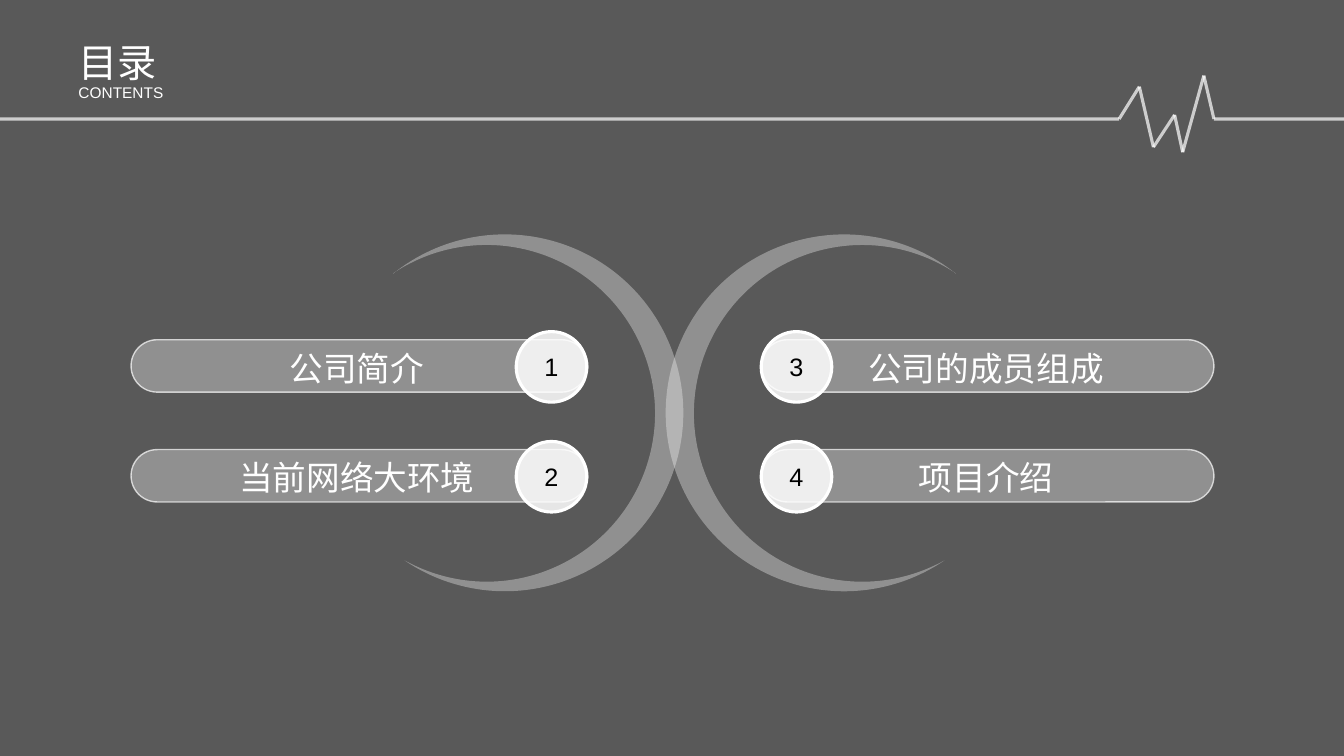
"""Build a contents slide with a heartbeat line, two crescents and four numbered bars."""
from dataclasses import dataclass
from itertools import pairwise
from math import cos, radians, sin, tan

from lxml.etree import SubElement
from pptx import Presentation
from pptx.dml.color import RGBColor
from pptx.enum.shapes import MSO_CONNECTOR, MSO_SHAPE
from pptx.enum.text import MSO_ANCHOR, MSO_AUTO_SIZE, PP_ALIGN
from pptx.oxml.ns import qn
from pptx.util import Inches, Pt

WIDTH, HEIGHT = 13.33, 7.5
WHITE, PALE, BLACK = "FFFFFF", "FCFCFC", "000000"
HEARTBEAT = [(0, 1.18), (11.1, 1.18), (11.3, 0.86), (11.44, 1.46), (11.65, 1.14),
             (11.73, 1.51), (11.94, 0.75), (12.04, 1.18), (WIDTH, 1.18)]
BAR_TOP, BAR_STEP, BAR_HEIGHT, BADGE_SIZE = 3.37, 1.09, 0.52, 0.7
LABEL_TOP, LABEL_STEP = 3.4, 1.08


@dataclass
class Column:
    bar_left: float
    bar_width: float
    badge_left: float
    label_left: float
    first_number: int
    labels: list[str]


@dataclass
class Crescent:
    center_x: float
    direction: int


@dataclass
class Arc:
    offset_x: float
    offset_y: float
    radius: float
    angles: list[float]


COLUMNS = [
    Column(1.3, 4.53, 5.12, 1.26, 1, ["公司简介", "当前网络大环境"]),
    Column(7.55, 4.49, 7.55, 7.5, 3, ["公司的成员组成", "项目介绍"]),
]
CRESCENTS = [Crescent(5, 1), Crescent(8.38, -1)]
CRESCENT_MIDDLE, CRESCENT_TILT = 4.14, 17.8
ARCS = [Arc(0, 0, 1.77, [-146.6, -90, 0, 90, 106.4]),
        Arc(-0.17, 0.06, 1.67, [101.3, 90, 0, -90, -141.5])]


def apply_format(target, values: dict) -> None:
    """Set every attribute named in values on target."""
    for name, value in values.items():
        setattr(target, name, value)


def paint(surface, color: str, opacity: int = 100) -> None:
    """Give a fill a solid colour with an opacity in percent."""
    surface.solid()
    surface.fore_color.rgb = RGBColor.from_string(color)
    if opacity < 100:
        node = surface._xPr.find(".//" + qn("a:solidFill"))[0]
        SubElement(node, qn("a:alpha"), val=str(opacity * 1000))


def outline(shape, width: float, opacity: int = 100) -> None:
    """Draw a white line of the given width in points."""
    shape.line.width = Pt(width)
    paint(shape.line.fill, WHITE, opacity)


def write(shape, text: str, size: float, color: str = WHITE, align=PP_ALIGN.LEFT,
          anchor=MSO_ANCHOR.TOP, spacing: float = 1.0) -> None:
    """Write one formatted paragraph into a shape."""
    frame = shape.text_frame
    apply_format(frame, {"word_wrap": True, "auto_size": MSO_AUTO_SIZE.NONE,
                         "vertical_anchor": anchor})
    para = frame.paragraphs[0]
    apply_format(para, {"alignment": align, "line_spacing": spacing})
    span = para.add_run()
    span.text = text
    apply_format(span.font, {"name": "Arial", "size": Pt(size)})
    span.font.color.rgb = RGBColor.from_string(color)


def add_box(page, left: float, top: float, width: float, height: float):
    """Add an empty text box."""
    return page.shapes.add_textbox(Inches(left), Inches(top), Inches(width), Inches(height))


def add_preset(page, kind, left: float, top: float, width: float, height: float,
               color: str, opacity: int):
    """Add a filled preset shape without line or shadow."""
    shape = page.shapes.add_shape(kind, Inches(left), Inches(top), Inches(width), Inches(height))
    shape.shadow.inherit = False
    paint(shape.fill, color, opacity)
    shape.line.fill.background()
    return shape


def add_header(page) -> None:
    """Add the backdrop, title, subtitle and heartbeat line."""
    backdrop = add_preset(page, MSO_SHAPE.RECTANGLE, 0, 0, WIDTH, HEIGHT, BLACK, 65)
    title = page.shapes.title
    title._element.addprevious(backdrop._element)
    apply_format(title, {"left": Inches(0.68), "top": Inches(0.33),
                         "width": Inches(3.88), "height": Inches(0.57)})
    write(title, "目录", 28)
    write(add_box(page, 0.68, 0.75, 4.35, 0.3), "CONTENTS", 11, spacing=1.14)
    for start, end in pairwise(HEARTBEAT):
        line = page.shapes.add_connector(MSO_CONNECTOR.STRAIGHT, *map(Inches, start + end))
        outline(line, 2.25, 70)
        SubElement(line._element.spPr, qn("a:effectLst"))


def arc_points(crescent: Crescent, arc: Arc) -> list[tuple[int, int]]:
    """Return the start of an arc, then two handles and an end for each curve."""
    def place(degrees: float, handle: float = 0) -> tuple[int, int]:
        angle = radians(degrees)
        across = arc.offset_x + arc.radius * (cos(angle) - handle * sin(angle))
        down = arc.offset_y + arc.radius * (sin(angle) + handle * cos(angle))
        return (Inches(crescent.center_x + crescent.direction * across),
                Inches(CRESCENT_MIDDLE + down))

    points = [place(arc.angles[0])]
    for start, end in pairwise(arc.angles):
        handle = 4 / 3 * tan(radians(end - start) / 4)
        points += [place(start, handle), place(end, -handle), place(end)]
    return points


def bend(shape) -> None:
    """Turn every three line segments of a freeform into one cubic curve."""
    segments = shape._element.findall(".//" + qn("a:lnTo"))
    for first in range(0, len(segments), 3):
        trio = segments[first:first + 3]
        outline_node = trio[0].getparent()
        curve = SubElement(outline_node, qn("a:cubicBezTo"))
        trio[0].addprevious(curve)
        for segment in trio:
            curve.append(segment[0])
            outline_node.remove(segment)


def add_crescent(page, crescent: Crescent) -> None:
    """Add a tilted crescent between an outer and an inner arc."""
    outer, inner = (arc_points(crescent, arc) for arc in ARCS)
    builder = page.shapes.build_freeform(*outer[0])
    builder.add_line_segments(outer[1:] + inner[1:], close=True)
    shape = builder.convert_to_shape()
    bend(shape)
    shape.rotation = crescent.direction * CRESCENT_TILT
    shape.shadow.inherit = False
    paint(shape.fill, PALE, 34)
    shape.line.fill.background()


def add_column(page, column: Column) -> None:
    """Add the bars, badges and labels of one column."""
    for row, label in enumerate(column.labels):
        top = BAR_TOP + row * BAR_STEP
        bar = add_preset(page, MSO_SHAPE.ROUNDED_RECTANGLE, column.bar_left, top,
                         column.bar_width, BAR_HEIGHT, PALE, 34)
        bar.adjustments[0] = 0.5
        outline(bar, 1, 70)
        badge = add_preset(page, MSO_SHAPE.OVAL, column.badge_left, top - 0.08,
                           BADGE_SIZE, BADGE_SIZE, WHITE, 85)
        outline(badge, 2.25)
        write(badge, str(column.first_number + row), 18, BLACK, PP_ALIGN.CENTER,
              MSO_ANCHOR.MIDDLE)
        write(add_box(page, column.label_left, LABEL_TOP + row * LABEL_STEP, 4.56, 0.53),
              label, 24, align=PP_ALIGN.CENTER)


def main() -> None:
    """Build and save the deck."""
    deck = Presentation()
    apply_format(deck, {"slide_width": Inches(WIDTH), "slide_height": Inches(HEIGHT)})
    page = deck.slides.add_slide(deck.slide_layouts.get_by_name("Title Only"))
    add_header(page)
    for crescent in CRESCENTS:
        add_crescent(page, crescent)
    for column in COLUMNS:
        add_column(page, column)
    deck.save("out.pptx")


if __name__ == "__main__":
    main()
